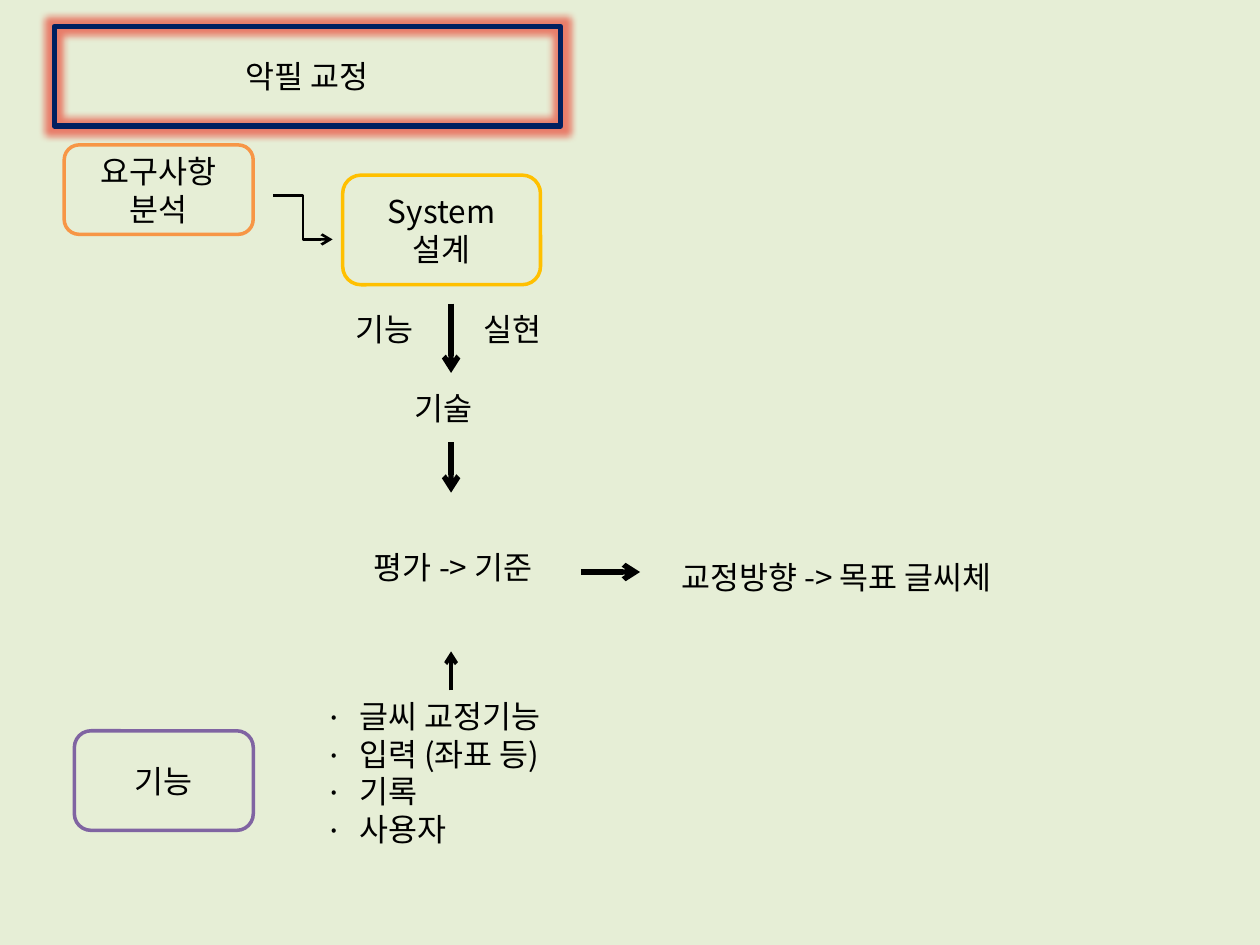
from dataclasses import dataclass

from lxml import etree
from pptx import Presentation
from pptx.dml.color import RGBColor
from pptx.enum.shapes import MSO_CONNECTOR, MSO_SHAPE
from pptx.enum.text import MSO_ANCHOR, MSO_AUTO_SIZE, PP_ALIGN
from pptx.oxml.ns import qn
from pptx.util import Inches, Pt

ROUNDED = MSO_SHAPE.ROUNDED_RECTANGLE
STRAIGHT, ELBOW = MSO_CONNECTOR.STRAIGHT, MSO_CONNECTOR.ELBOW
MIDDLE, TOP = MSO_ANCHOR.MIDDLE, MSO_ANCHOR.TOP
CENTER, LEFT = PP_ALIGN.CENTER, PP_ALIGN.LEFT
NO_AUTOSIZE = MSO_AUTO_SIZE.NONE


@dataclass(frozen=True)
class Theme:
    font: str = "Noto Sans CJK KR"
    size: float = 18
    ink: str = "000000"
    background: str = "E6EED6"
    title_line: str = "002060"
    glow: str = "EA3323"
    orange: str = "F79646"
    gold: str = "FFC000"
    purple: str = "8064A2"


@dataclass(frozen=True)
class Stage:
    text: str
    left: float
    top: float
    width: float
    height: float
    color: str


@dataclass(frozen=True)
class Label:
    text: str
    left: float
    top: float
    width: float


@dataclass(frozen=True)
class Arrow:
    start: tuple[float, float]
    end: tuple[float, float]
    weight: float = 3
    kind: MSO_CONNECTOR = STRAIGHT


THEME = Theme()
FLOW_X = 3.58
LABEL_HEIGHT = 0.4
BULLET_INDENT = Inches(0.27)

STAGES = [
    Stage("요구사항 분석", 0.51, 1.15, 1.5, 0.71, THEME.orange),
    Stage("System\n설계", 2.72, 1.39, 1.57, 0.87, THEME.gold),
    Stage("기능", 0.59, 5.8, 1.42, 0.79, THEME.purple),
]
LABELS = [
    Label("기능", 2.72, 2.41, 0.71),
    Label("실현", 3.74, 2.41, 0.71),
    Label("기술", 3.19, 3.04, 0.71),
    Label("평가 -> 기준", 2.87, 4.3, 1.67),
    Label("교정방향 -> 목표 글씨체", 5.31, 4.38, 3.02),
]
ARROWS = [
    Arrow((2.17, 1.55), (2.64, 1.9), 1.5, ELBOW),
    Arrow((FLOW_X, 2.41), (FLOW_X, 2.96)),
    Arrow((FLOW_X, 3.51), (FLOW_X, 3.91)),
    Arrow((FLOW_X, 5.48), (FLOW_X, 5.17), 2.25),
    Arrow((4.61, 4.54), (5.08, 4.54)),
]
FEATURES = ["글씨 교정기능", "입력 (좌표 등)", "기록", "사용자"]


def place(shape, left: float, top: float, width: float, height: float) -> None:
    shape.left, shape.top = Inches(left), Inches(top)
    shape.width, shape.height = Inches(width), Inches(height)


def write(shape, text: str, alignment, anchor, wrap: bool = True) -> None:
    frame = shape.text_frame
    frame.text = text
    frame.word_wrap = wrap
    frame.auto_size = NO_AUTOSIZE
    frame.vertical_anchor = anchor
    for paragraph in frame.paragraphs:
        paragraph.alignment = alignment
        paragraph.space_before = Pt(0)
        for run in paragraph.runs:
            run.font.name = THEME.font
            run.font.size = Pt(THEME.size)
            run.font.color.rgb = RGBColor.from_string(THEME.ink)
            properties = run.font._element
            etree.SubElement(properties, qn("a:ea"), typeface=THEME.font)


def outline(shape, color: str, weight: float) -> None:
    shape.fill.background()
    shape.line.color.rgb = RGBColor.from_string(color)
    shape.line.width = Pt(weight)
    shape.shadow.inherit = False


def add_title(slide) -> None:
    title = slide.shapes.title
    place(title, 0.43, 0.21, 4.02, 0.79)
    write(title, "악필 교정", CENTER, MIDDLE)
    outline(title, THEME.title_line, 3)
    effects = title._element.spPr.find(qn("a:effectLst"))
    glow = etree.SubElement(effects, qn("a:glow"), rad=str(Pt(8)))
    color = etree.SubElement(glow, qn("a:srgbClr"), val=THEME.glow)
    etree.SubElement(color, qn("a:alpha"), val="60000")


def add_features(slide) -> None:
    body = slide.placeholders[1]
    place(body, 2.48, 5.48, 1.95, 1.55)
    write(body, "\n".join(FEATURES), LEFT, TOP)
    body.text_frame.margin_right = Inches(0.05)
    for paragraph in body.text_frame.paragraphs:
        properties = paragraph._element.get_or_add_pPr()
        properties.set("marL", str(BULLET_INDENT))
        properties.set("indent", str(-BULLET_INDENT))
        etree.SubElement(properties, qn("a:buFont"), typeface=THEME.font)
        etree.SubElement(properties, qn("a:buChar"), char="·")


def add_stage(slide, stage: Stage) -> None:
    shape = slide.shapes.add_shape(
        ROUNDED, Inches(stage.left), Inches(stage.top),
        Inches(stage.width), Inches(stage.height))
    outline(shape, stage.color, 2)
    write(shape, stage.text, CENTER, MIDDLE)


def add_label(slide, label: Label) -> None:
    box = slide.shapes.add_textbox(
        Inches(label.left), Inches(label.top),
        Inches(label.width), Inches(LABEL_HEIGHT))
    write(box, label.text, LEFT, TOP, wrap=False)


def add_arrow(slide, arrow: Arrow) -> None:
    points = [Inches(value) for value in arrow.start + arrow.end]
    connector = slide.shapes.add_connector(arrow.kind, *points)
    connector.line.color.rgb = RGBColor.from_string(THEME.ink)
    connector.line.width = Pt(arrow.weight)
    properties = connector._element.spPr
    etree.SubElement(properties.find(qn("a:ln")), qn("a:tailEnd"), type="arrow")
    etree.SubElement(properties, qn("a:effectLst"))


def main() -> None:
    presentation = Presentation()
    presentation.slide_width, presentation.slide_height = Inches(10), Inches(7.5)
    slide = presentation.slides.add_slide(presentation.slide_layouts[1])
    slide.background.fill.solid()
    slide.background.fill.fore_color.rgb = RGBColor.from_string(THEME.background)
    add_title(slide)
    for stage in STAGES:
        add_stage(slide, stage)
    for label in LABELS:
        add_label(slide, label)
    for arrow in ARROWS:
        add_arrow(slide, arrow)
    add_features(slide)
    presentation.save("out.pptx")


main()
